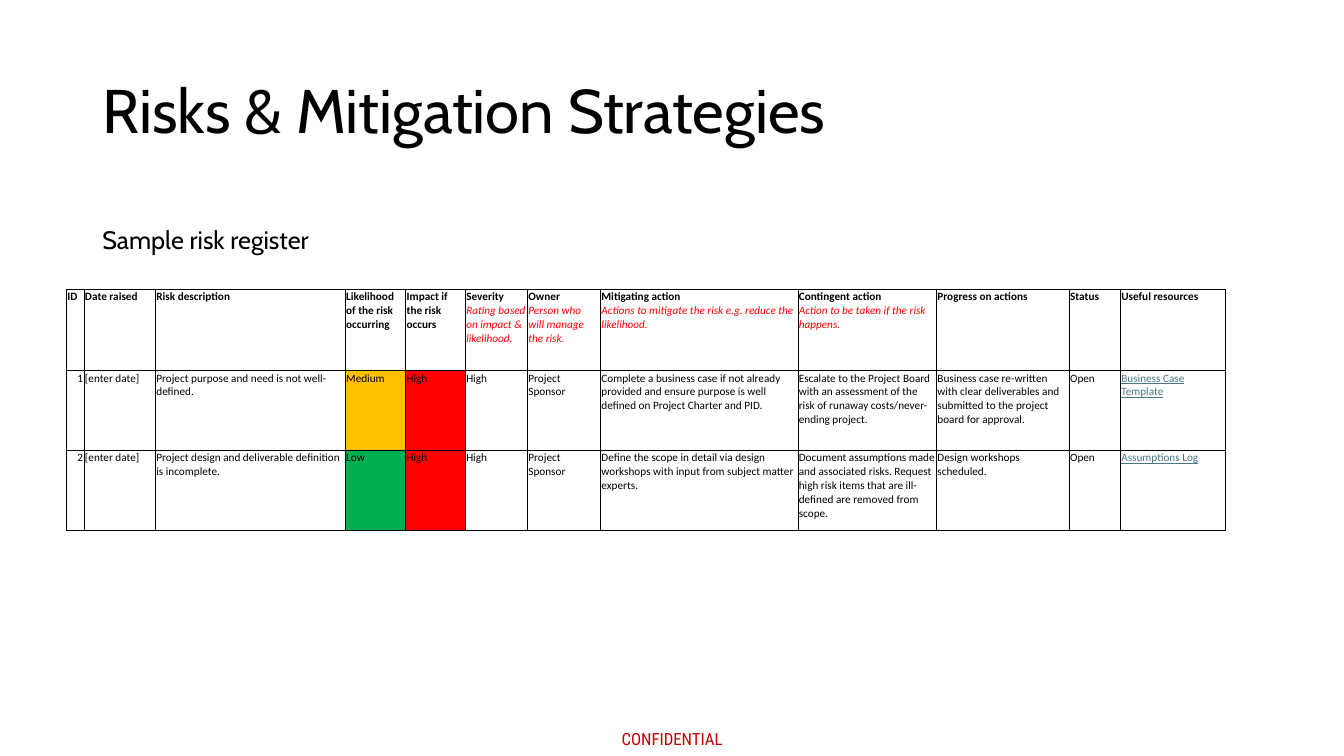
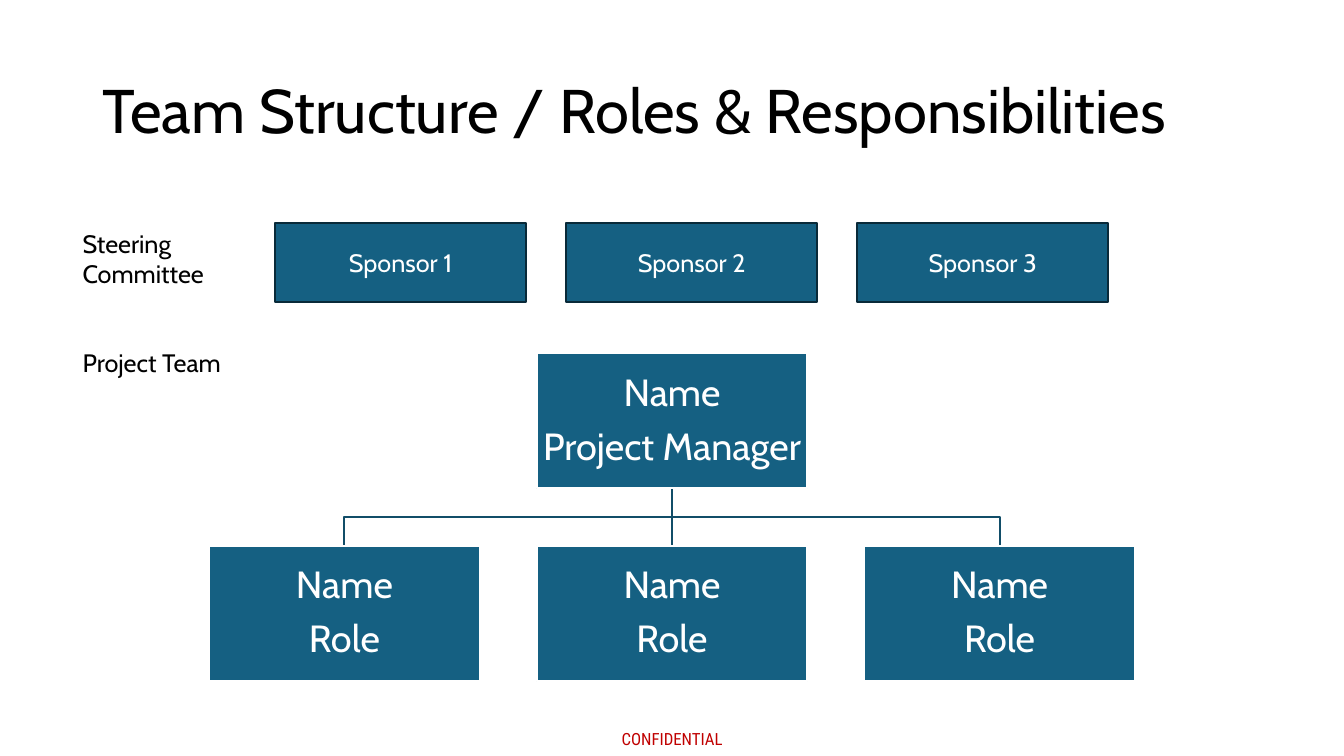
from lxml.etree import SubElement
from pptx import Presentation
from pptx.dml.color import RGBColor
from pptx.enum.shapes import MSO_CONNECTOR as Connector, MSO_SHAPE as Shape
from pptx.enum.text import MSO_ANCHOR as Anchor, PP_ALIGN as Align
from pptx.oxml import parse_xml
from pptx.oxml.ns import nsdecls, qn
from pptx.util import Inches, Pt

COLORS = {
    "text": "000000", "white": "FFFFFF", "footer": "C00000", "hint": "FF0000",
    "link": "467886", "box": "156082", "box_edge": "092A39", "branch": "114D68",
    "High": "FF0000", "Medium": "FFC000", "Low": "00B050",
}
BODY_FONT, TABLE_FONT, FOOTER_FONT = "Cabin", "Calibri", "Roboto Condensed"
GRID_COLUMNS, GRID_ROWS = 160, 90

REGISTER_WIDTHS = [2.1, 8.5, 22.6, 7.2, 7.1, 7.4, 8.7, 23.5, 16.5, 15.8, 6.1, 12.5]
REGISTER_HEIGHTS = [9.7, 9.5, 9.5]
REGISTER_HEADINGS = [
    ("ID", ""),
    ("Date raised", ""),
    ("Risk description", ""),
    ("Likelihood of the risk occurring", ""),
    ("Impact if the risk occurs", ""),
    ("Severity", "Rating based on impact & likelihood."),
    ("Owner", "Person who will manage the risk."),
    ("Mitigating action", "Actions to mitigate the risk e.g. reduce the likelihood."),
    ("Contingent action", "Action to be taken if the risk happens."),
    ("Progress on actions", ""),
    ("Status", ""),
    ("Useful resources", ""),
]
RISKS = [
    ["1", "[enter date]", "Project purpose and need is not well-defined.",
     "Medium", "High", "High", "Project Sponsor",
     "Complete a business case if not already provided and ensure purpose is well "
     "defined on Project Charter and PID.",
     "Escalate to the Project Board with an assessment of the risk of runaway "
     "costs/never-ending project.",
     "Business case re-written with clear deliverables and submitted to the project "
     "board for approval.",
     "Open", "Business Case Template"],
    ["2", "[enter date]", "Project design and deliverable definition is incomplete.",
     "Low", "High", "High", "Project Sponsor",
     "Define the scope in detail via design workshops with input from subject matter "
     "experts.",
     "Document assumptions made and associated risks. Request high risk items that "
     "are ill-defined are removed from scope.",
     "Design workshops scheduled.",
     "Open", "Assumptions Log"],
]
ID_COLUMN, RATED_COLUMNS, RESOURCE_COLUMN = 0, (3, 4), 11


def rgb(name):
    return RGBColor.from_string(COLORS[name])


def style_font(font, size, color="text", name=BODY_FONT):
    font.name, font.size = name, Pt(size)
    font.color.rgb = rgb(color)


def outline_cell(cell):
    """Draw thin black borders on all four sides of a table cell."""
    properties = cell._tc.get_or_add_tcPr()
    for position, side in enumerate(("lnL", "lnR", "lnT", "lnB")):
        properties.insert(position, parse_xml(
            f'<a:{side} {nsdecls("a")} w="{Pt(0.5)}"><a:solidFill>'
            f'<a:srgbClr val="{COLORS["text"]}"/></a:solidFill></a:{side}>'))


def join(line, manager, role):
    """Glue a branch from the manager's bottom to the role's top.

    An elbow leaves downwards, so its frame is turned by a quarter.
    """
    line.begin_connect(manager, 2)
    line.end_connect(role, 0)
    width, height = line.width, line.height
    if not width:
        return
    goes_right = line.end_x > line.begin_x
    line.left += (width - height) // 2
    line.top += (height - width) // 2
    line.width, line.height = height, width
    frame = line._element.spPr.find(qn("a:xfrm"))
    frame.set("rot", "16200000" if goes_right else "5400000")
    frame.set("flipH", "1" if goes_right else "0")


class Deck:
    """Holds the presentation, the current slide and the shared style."""

    def __init__(self):
        self.presentation = Presentation()
        self.presentation.slide_width = Inches(13.33)
        self.presentation.slide_height = Inches(7.5)
        self.slide = None

    def x(self, columns):
        return round(self.presentation.slide_width * columns / GRID_COLUMNS)

    def y(self, rows):
        return round(self.presentation.slide_height * rows / GRID_ROWS)

    def place(self, left, top, width, height):
        return self.x(left), self.y(top), self.x(width), self.y(height)

    def new_slide(self, title):
        self.slide = self.presentation.slides.add_slide(self.presentation.slide_layouts[6])
        footer = self.text("CONFIDENTIAL", 74, 86.8, 12.5, 2.4, 12, "footer", FOOTER_FONT)
        frame = footer.text_frame
        frame.margin_left = frame.margin_right = frame.margin_top = frame.margin_bottom = 0
        heading = self.text(title, 11, 4.8, 138, 17.4, 44)
        heading.text_frame.vertical_anchor = Anchor.MIDDLE
        heading.text_frame.paragraphs[0].line_spacing = 0.9

    def text(self, text, left, top, width, height, size=18, color="text", font=BODY_FONT):
        shape = self.slide.shapes.add_textbox(*self.place(left, top, width, height))
        shape.text_frame.word_wrap = True
        paragraph = shape.text_frame.paragraphs[0]
        paragraph.text = text
        style_font(paragraph.font, size, color, font)
        return shape

    def box(self, lines, center, top, width, height, size, edge):
        """Add a filled box around a centre column, one paragraph a line."""
        shape = self.slide.shapes.add_shape(
            Shape.RECTANGLE, *self.place(center - width / 2, top, width, height))
        shape.shadow.inherit = False
        shape.fill.solid()
        shape.fill.fore_color.rgb = rgb("box")
        shape.line.color.rgb = rgb(edge)
        shape.line.width = Pt(1.5)
        frame = shape.text_frame
        frame.word_wrap = True
        frame.vertical_anchor = Anchor.MIDDLE
        frame.text = "\n".join(lines)
        for paragraph in frame.paragraphs:
            paragraph.alignment = Align.CENTER
            style_font(paragraph.font, size, "white")
        return shape

    def person(self, role, center, top):
        shape = self.box(["Name", role], center, top, 32.2, 16.1, 27, "white")
        frame = shape.text_frame
        frame.margin_left = frame.margin_right = Inches(0.02)
        frame.margin_top = frame.margin_bottom = Inches(0.02)
        for paragraph in frame.paragraphs:
            paragraph.line_spacing = 0.9
            paragraph.space_after = Pt(9.4)
        return shape

    def branch(self, start_x, start_y, end_x, end_y):
        kind = Connector.STRAIGHT if start_x == end_x else Connector.ELBOW
        line = self.slide.shapes.add_connector(
            kind, self.x(start_x), self.y(start_y), self.x(end_x), self.y(end_y))
        line.line.color.rgb = rgb("branch")
        line.line.width = Pt(1.5)
        SubElement(line._element.spPr, qn("a:effectLst"))
        return line

    def cell(self, cell, text, hint="", bold=False, fill=None):
        cell.margin_left = cell.margin_right = cell.margin_top = Inches(0.01)
        cell.margin_bottom = Inches(0.04)
        if fill:
            cell.fill.solid()
            cell.fill.fore_color.rgb = rgb(fill)
        else:
            cell.fill.background()
        outline_cell(cell)
        paragraph = cell.text_frame.paragraphs[0]
        paragraph.text = text
        style_font(paragraph.font, 8, "text", TABLE_FONT)
        paragraph.font.bold = bold
        if hint:
            paragraph.add_line_break()
            run = paragraph.add_run()
            run.text = hint
            run.font.bold, run.font.italic = False, True
            run.font.color.rgb = rgb("hint")
        return paragraph

    def register(self, left, top):
        table = self.slide.shapes.add_table(
            len(REGISTER_HEIGHTS), len(REGISTER_WIDTHS),
            *self.place(left, top, sum(REGISTER_WIDTHS), sum(REGISTER_HEIGHTS))).table
        table.first_row = table.horz_banding = False
        for column, width in zip(table.columns, REGISTER_WIDTHS):
            column.width = self.x(width)
        for row, height in zip(table.rows, REGISTER_HEIGHTS):
            row.height = self.y(height)
        for column, (heading, hint) in enumerate(REGISTER_HEADINGS):
            self.cell(table.cell(0, column), heading, hint, bold=True)
        for row, risk in enumerate(RISKS, start=1):
            for column, text in enumerate(risk):
                fill = text if column in RATED_COLUMNS else None
                paragraph = self.cell(table.cell(row, column), text, fill=fill)
                if column == ID_COLUMN:
                    paragraph.alignment = Align.RIGHT
                elif column == RESOURCE_COLUMN:
                    paragraph.font.underline = True
                    paragraph.font.color.rgb = rgb("link")


def build_risks(deck):
    deck.new_slide("Risks & Mitigation Strategies")
    deck.register(7.9, 34.4)
    deck.text("Sample risk register", 11, 26.1, 43.4, 4.8)


def build_team(deck):
    deck.new_slide("Team Structure / Roles & Responsibilities")
    manager_top, role_top, person_height = 42.05, 65, 16.1
    middle = GRID_COLUMNS / 2
    role_centers = [middle + 39 * step for step in (-1, 0, 1)]

    branches = [deck.branch(middle, manager_top + person_height, center, role_top)
                for center in role_centers]
    manager = deck.person("Project Manager", middle, manager_top)
    for line, center in zip(branches, role_centers):
        join(line, manager, deck.person("Role", center, role_top))

    for number in (1, 2, 3):
        center = 82.35 + 34.65 * (number - 2)
        deck.box([f"Sponsor {number}"], center, 26.55, 29.9, 9.4, 18, "box_edge")
    deck.text("Steering Committee", 8.65, 26.6, 19.4, 8.5)
    deck.text("Project Team", 8.65, 40.8, 19.4, 4.8)


def main():
    deck = Deck()
    build_risks(deck)
    build_team(deck)
    deck.presentation.save("out.pptx")


if __name__ == "__main__":
    main()
